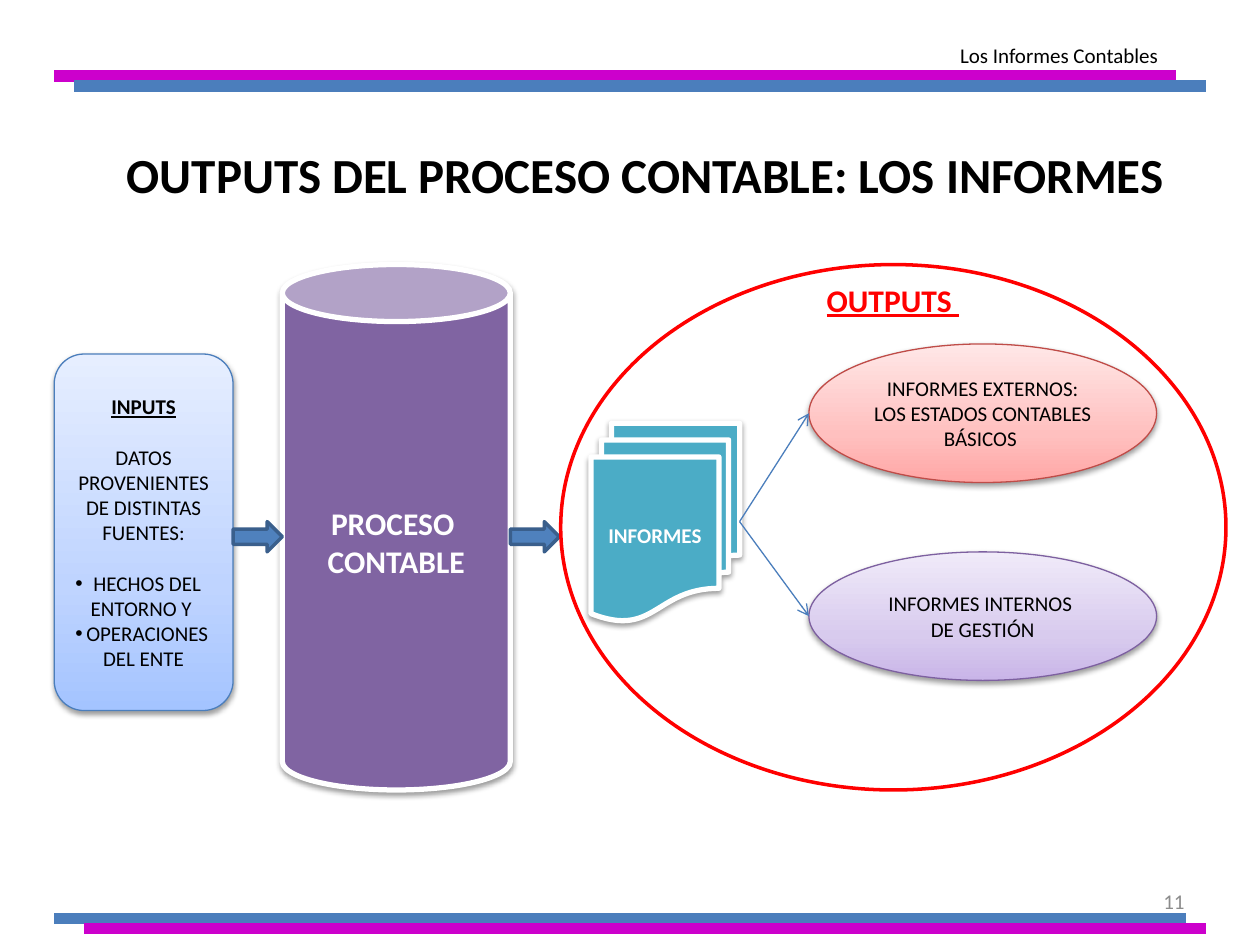
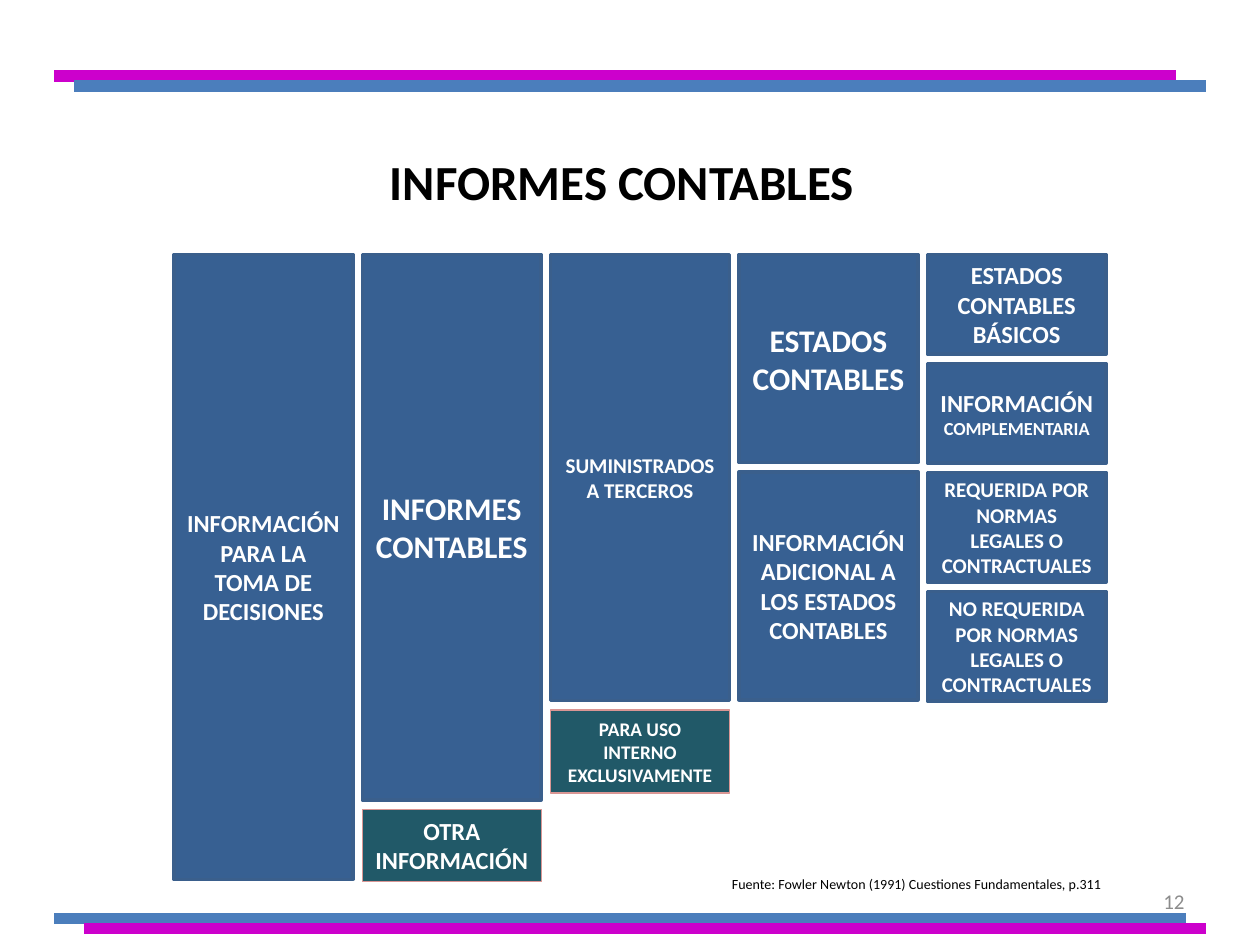
import copy
import dataclasses

import lxml.etree
import pptx
import pptx.dml.color
import pptx.enum.shapes
import pptx.enum.text
import pptx.oxml.ns
import pptx.util

Inches = pptx.util.Inches
Pt = pptx.util.Pt
Shape = pptx.enum.shapes.MSO_SHAPE
Align = pptx.enum.text.PP_ALIGN
Anchor = pptx.enum.text.MSO_ANCHOR
qn = pptx.oxml.ns.qn


@dataclasses.dataclass(frozen=True)
class Theme:
    """Font, colours and type sizes shared by the slides."""
    font: str = "Calibri"
    black: str = "000000"
    white: str = "FFFFFF"
    grey: str = "8C8C8C"
    magenta: str = "CC00CC"
    blue: str = "4B7EBC"
    red: str = "FF0000"
    arrow_fill: str = "4F81BD"
    dark_line: str = "3A5F8C"
    process: str = "8064A2"
    reports: str = "4BACC6"
    cell: str = "376092"
    side_cell: str = "215968"
    side_line: str = "D99694"
    external_line: str = "BF4C48"
    internal_line: str = "7D60A0"
    input_shades: tuple = ("A4C4FF", "BFD4FF", "E6EEFF")
    external_shades: tuple = ("FFA6A5", "FFC0BF", "FFE7E7")
    internal_shades: tuple = ("C9B5E8", "D8CBEE", "F0EAF9")
    title: float = 28
    heading: float = 18
    label: float = 14
    body: float = 12
    small: float = 11
    minor: float = 10.5
    source: float = 8


THEME = Theme()


@dataclasses.dataclass(frozen=True)
class Box:
    """A rectangle in inches."""
    left: float
    top: float
    width: float
    height: float

    def inner(self, dx, dy, width, height):
        """Return a box placed relative to this one."""
        return Box(self.left + dx, self.top + dy, width, height)

    def lengths(self):
        """Return the four measures as slide lengths."""
        return [Inches(v) for v in (self.left, self.top, self.width, self.height)]


PAGE = Box(0, 0, 10, 7.5)


def rgb(code):
    """Turn a hex code into a colour."""
    return pptx.dml.color.RGBColor.from_string(code)


def add_run(paragraph, text, size, color, bold=False, underline=False):
    """Add one formatted run."""
    run = paragraph.add_run()
    run.text = text
    font = run.font
    font.name, font.size = THEME.font, Pt(size)
    font.bold, font.underline = bold, underline
    font.color.rgb = rgb(color)


def write(frame, lines, size, color, bold=False, underline=False,
          align=Align.CENTER, anchor=Anchor.MIDDLE, wrap=True):
    """Write each line as a paragraph and return the paragraphs."""
    frame.word_wrap, frame.vertical_anchor = wrap, anchor
    for number, line in enumerate(lines):
        paragraph = frame.add_paragraph() if number else frame.paragraphs[0]
        paragraph.alignment = align
        add_run(paragraph, line, size, color, bold, underline)
    return frame.paragraphs


def add_label(slide, box, text, size, color, **style):
    """Add a text box with one line."""
    frame = slide.shapes.add_textbox(*box.lengths()).text_frame
    write(frame, [text], size, color, **style)


def shade(shape, colors):
    """Fill a shape with a three-stop gradient rising from its foot."""
    shape.fill.gradient()
    shape.fill.gradient_angle = 90
    stops = shape._element.spPr.find(".//" + qn("a:gsLst"))
    stops.insert(1, copy.deepcopy(stops[0]))
    for stop, position, color in zip(shape.fill.gradient_stops, (0, 0.35, 1), colors):
        stop.position = position
        stop.color.rgb = rgb(color)


def cast_shadow(shape):
    """Give a shape a soft shadow below it."""
    effects = shape._element.spPr.find(qn("a:effectLst"))
    shadow = lxml.etree.SubElement(effects, qn("a:outerShdw"), blurRad="40000",
                                   dist="20000", dir="5400000", rotWithShape="0")
    color = lxml.etree.SubElement(shadow, qn("a:srgbClr"), val=THEME.black)
    lxml.etree.SubElement(color, qn("a:alpha"), val="38000")


def add_figure(slide, kind, box, fill, line, weight, shadow=False):
    """Add a preset shape with a plain, shaded or empty fill."""
    shape = slide.shapes.add_shape(kind, *box.lengths())
    if fill is None:
        shape.fill.background()
    elif isinstance(fill, tuple):
        shade(shape, fill)
    else:
        shape.fill.solid()
        shape.fill.fore_color.rgb = rgb(fill)
    shape.line.color.rgb, shape.line.width = rgb(line), Pt(weight)
    shape.shadow.inherit = False
    if shadow:
        cast_shadow(shape)
    return shape


def add_line(slide, start, end, color, weight, arrow=False):
    """Draw a straight line, with an arrowhead at its end if asked."""
    ends = [Inches(v) for v in (*start, *end)]
    line = slide.shapes.add_connector(pptx.enum.shapes.MSO_CONNECTOR.STRAIGHT, *ends)
    line.line.color.rgb, line.line.width = rgb(color), Pt(weight)
    if arrow:
        lxml.etree.SubElement(line.line._get_or_add_ln(), qn("a:tailEnd"), type="arrow")
    lxml.etree.SubElement(line._element.spPr, qn("a:effectLst"))


def add_frame(slide, box, number):
    """Add the bands and the page number shared by all slides."""
    add_label(slide, box.inner(7.17, 6.95, 2.33, 0.4), number, THEME.body, THEME.grey,
              align=Align.RIGHT)
    bands = ((0.43, 9.33, 0.6, THEME.magenta), (0.59, 9.57, 0.68, THEME.blue),
             (0.43, 9.41, 7.29, THEME.blue), (0.67, 9.57, 7.37, THEME.magenta))
    for left, right, height, color in bands:
        y = box.top + height
        add_line(slide, (box.left + left, y), (box.left + right, y), color, 6.75)


def add_title(slide, box, text, wrap=True):
    """Add the slide title."""
    add_label(slide, box, text, THEME.title, THEME.black, bold=True, wrap=wrap)


def add_inputs(slide, box):
    """Add the card that lists the inputs."""
    card = add_figure(slide, Shape.ROUNDED_RECTANGLE, box, THEME.input_shades,
                      THEME.blue, 0.75, shadow=True)
    lines = ["DATOS PROVENIENTES DE DISTINTAS FUENTES:",
             "HECHOS DEL ENTORNO Y ", "OPERACIONES DEL ENTE"]
    heading = write(card.text_frame, ["INPUTS"], THEME.body, THEME.black, True, True)[0]
    heading.space_after = Pt(14.5)
    for line in lines:
        paragraph = card.text_frame.add_paragraph()
        paragraph.alignment = Align.CENTER
        add_run(paragraph, line, THEME.body, THEME.black)
        if line == lines[0]:
            paragraph.space_after = Pt(14.5)
        else:
            properties = paragraph._p.get_or_add_pPr()
            lxml.etree.SubElement(properties, qn("a:buFont"), typeface="Arial")
            lxml.etree.SubElement(properties, qn("a:buChar"), char="•")


def add_process(slide, box):
    """Add the accounting process cylinder and the arrows on both sides."""
    cylinder = add_figure(slide, Shape.CAN, box, THEME.process, THEME.white, 3, shadow=True)
    write(cylinder.text_frame, ["PROCESO ", "CONTABLE"], THEME.heading, THEME.white, True)
    for dx in (box.width, -0.39):
        add_figure(slide, Shape.RIGHT_ARROW, box.inner(dx, 2.04, 0.39, 0.24),
                   THEME.arrow_fill, THEME.dark_line, 2)


def add_outputs(slide, box):
    """Add the reports, the two kinds they split into and the ring around them."""
    reports = add_figure(slide, Shape.FLOWCHART_MULTIDOCUMENT, box.inner(0.24, 1.26, 1.18, 1.57),
                         THEME.reports, THEME.white, 3, shadow=True)
    write(reports.text_frame, ["INFORMES"], THEME.body, THEME.white, True)
    kinds = (
        (0.63, 1.1, THEME.external_shades, THEME.external_line,
         ["INFORMES EXTERNOS: LOS ESTADOS CONTABLES BÁSICOS "]),
        (2.28, 1.02, THEME.internal_shades, THEME.internal_line,
         ["INFORMES INTERNOS ", "DE GESTIÓN"]),
    )
    fork = (box.left + 1.42, box.top + 2.04)
    for dy, height, shades, outline, lines in kinds:
        place = box.inner(1.97, dy, 2.76, height)
        kind = add_figure(slide, Shape.OVAL, place, shades, outline, 0.75, shadow=True)
        write(kind.text_frame, lines, THEME.body, THEME.black)
        add_line(slide, fork, (place.left, place.top + height / 2), THEME.blue, 0.75, arrow=True)
    add_figure(slide, Shape.OVAL, box, None, THEME.red, 2)
    add_label(slide, box.inner(1.81, 0.08, 1.65, 0.4), "OUTPUTS ", THEME.heading, THEME.red,
              bold=True, underline=True)


def add_breakdown(slide, box):
    """Add the columns that divide information into ever finer kinds."""
    width = 1.42
    columns = (
        ((4.96, "INFORMACIÓN PARA LA TOMA DE DECISIONES", THEME.label),),
        ((4.33, "INFORMES CONTABLES", THEME.heading),
         (0.57, "OTRA INFORMACIÓN", THEME.label)),
        ((3.54, "SUMINISTRADOS A TERCEROS", THEME.body),
         (0.66, "PARA USO INTERNO EXCLUSIVAMENTE", THEME.small)),
        ((1.65, "ESTADOS CONTABLES", THEME.heading),
         (1.81, "INFORMACIÓN ADICIONAL A LOS ESTADOS CONTABLES", THEME.label)),
        ((0.79, "ESTADOS CONTABLES BÁSICOS", THEME.label),
         (0.79, "INFORMACIÓN ", THEME.label),
         (0.87, "REQUERIDA POR NORMAS LEGALES O CONTRACTUALES", THEME.body),
         (0.87, "NO REQUERIDA POR NORMAS LEGALES O CONTRACTUALES", THEME.body)),
    )
    side_kinds = ("OTRA INFORMACIÓN", "PARA USO INTERNO EXCLUSIVAMENTE")
    gap = (box.width - len(columns) * width) / (len(columns) - 1)
    for index, column in enumerate(columns):
        dy = 0
        for height, text, size in column:
            look = (THEME.cell, THEME.dark_line, 2)
            if text in side_kinds:
                look = (THEME.side_cell, THEME.side_line, 0.75)
            place = box.inner(index * (width + gap), dy, width, height)
            cell = add_figure(slide, Shape.RECTANGLE, place, *look)
            paragraph = write(cell.text_frame, [text], size, THEME.white, True)[0]
            if text == "INFORMACIÓN ":
                add_run(paragraph, "COMPLEMENTARIA", THEME.minor, THEME.white, True)
            dy += height + gap


def build_process_slide(slide, page):
    """Build the slide on the outputs of the accounting process."""
    add_frame(slide, page, "11")
    add_title(slide, page.inner(0.83, 0.92, 8.58, 0.92),
              "OUTPUTS DEL PROCESO CONTABLE: LOS INFORMES")
    add_label(slide, page.inner(4.29, 0.29, 5, 0.3), "Los Informes Contables",
              THEME.body, THEME.black, align=Align.RIGHT, anchor=Anchor.TOP)
    add_inputs(slide, page.inner(0.43, 2.81, 1.42, 2.83))
    add_process(slide, page.inner(2.24, 2.1, 1.81, 4.17))
    add_outputs(slide, page.inner(4.45, 2.1, 5.28, 4.17))


def build_reports_slide(slide, page):
    """Build the slide that classifies the accounting reports."""
    add_frame(slide, page, "12")
    add_title(slide, page.inner(2.97, 1.15, 3.93, 0.57), "INFORMES CONTABLES", wrap=False)
    add_breakdown(slide, page.inner(1.38, 2.02, 7.4, 4.98))
    add_label(slide, page.inner(5.71, 6.9, 3.31, 0.24),
              "Fuente: Fowler Newton (1991) Cuestiones Fundamentales, p.311",
              THEME.source, THEME.black, align=Align.LEFT, anchor=Anchor.TOP)


def main():
    """Build and save the deck."""
    deck = pptx.Presentation()
    deck.slide_width, deck.slide_height = Inches(PAGE.width), Inches(PAGE.height)
    for build in (build_process_slide, build_reports_slide):
        build(deck.slides.add_slide(deck.slide_layouts[6]), PAGE)
    deck.save("out.pptx")


if __name__ == "__main__":
    main()
